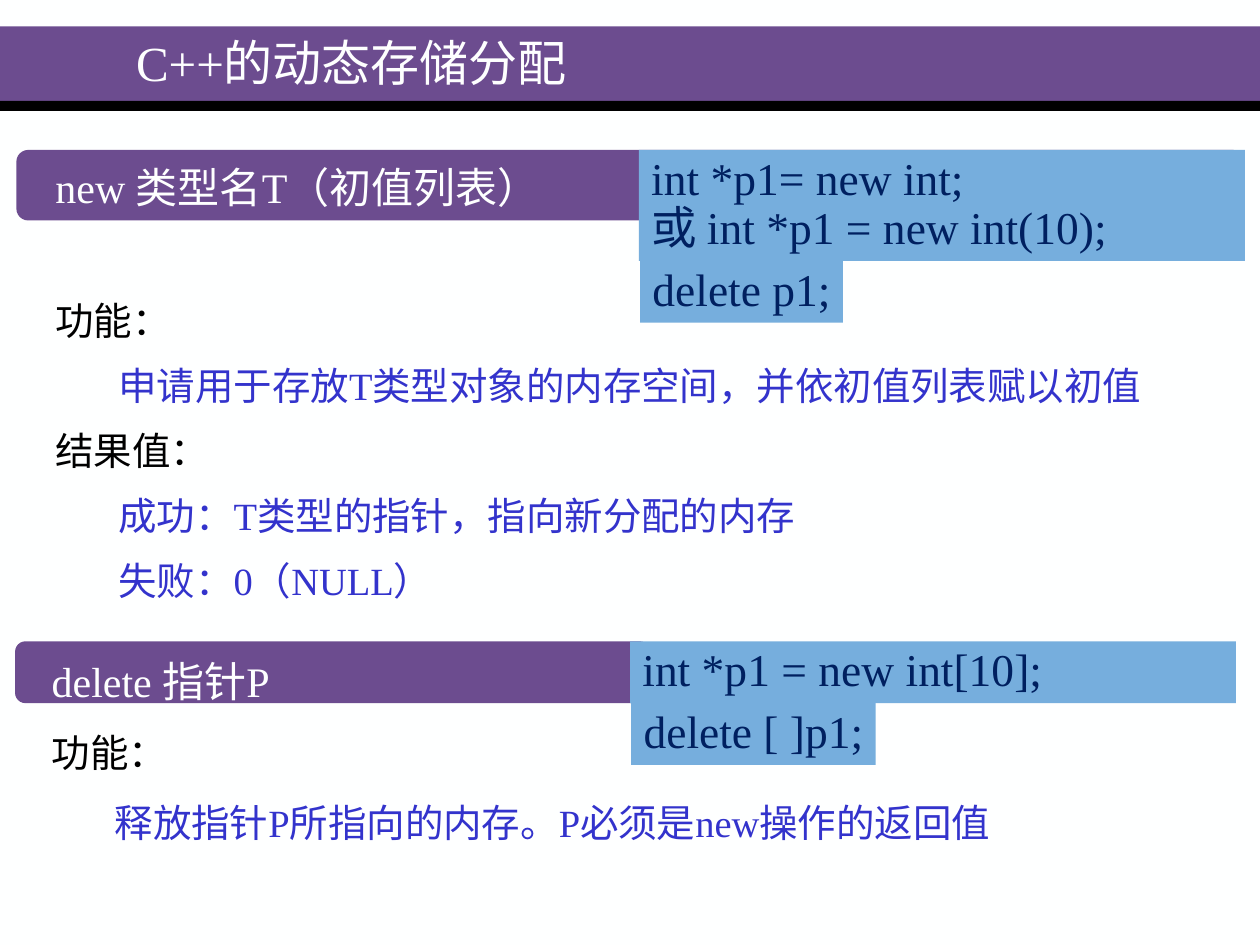
from pptx import Presentation
from pptx.dml.color import RGBColor
from pptx.enum.shapes import MSO_SHAPE
from pptx.enum.text import MSO_ANCHOR, MSO_AUTO_SIZE, PP_ALIGN
from pptx.oxml.xmlchemy import OxmlElement
from pptx.util import Inches, Pt

COLORS = {
    "background": "FEFFFF",
    "purple": "6C4C8F",
    "black": "000000",
    "code_fill": "76AEDD",
    "code_text": "002060",
    "detail": "3333CC",
}
FONT = "Times New Roman"
SLIDE_WIDTH, SLIDE_HEIGHT = Inches(10), Inches(7.5)
COLUMN, ROW = SLIDE_WIDTH / 100, SLIDE_HEIGHT / 75
CODE_ROWS = 4.9


def color(name):
    return RGBColor.from_string(COLORS[name])


def cells(left, top, width, height):
    return [round(length) for length in
            (left * COLUMN, top * ROW, width * COLUMN, height * ROW)]


def add_bar(slide, area, fill, kind=MSO_SHAPE.RECTANGLE):
    shape = slide.shapes.add_shape(kind, *cells(*area))
    shape.shadow.inherit = False
    shape.fill.solid()
    shape.fill.fore_color.rgb = color(fill)
    shape.line.fill.background()
    return shape


def write(paragraph, text, size=22, ink="black", spacing=1.0, before=0,
          level=0, margin=0, indent=0):
    paragraph.text = text
    paragraph.level = level
    paragraph.alignment = PP_ALIGN.LEFT
    paragraph.line_spacing = spacing
    paragraph.space_before = Pt(before)
    paragraph.space_after = Pt(0)
    properties = paragraph._p.get_or_add_pPr()
    properties.set("marL", str(Inches(margin)))
    properties.set("indent", str(Inches(indent)))
    properties.append(OxmlElement("a:buNone"))
    for run in paragraph.runs:
        run.font.name = FONT
        run.font.size = Pt(size)
        run.font.bold = False
        run.font.color.rgb = color(ink)


def place(placeholder, area, anchor):
    placeholder.left, placeholder.top, placeholder.width, placeholder.height = cells(*area)
    frame = placeholder.text_frame
    frame.word_wrap = True
    frame.auto_size = MSO_AUTO_SIZE.NONE
    frame.vertical_anchor = anchor
    placeholder.element.getparent().append(placeholder.element)
    return frame


def fill_title(placeholder, area, text):
    frame = place(placeholder, area, MSO_ANCHOR.MIDDLE)
    write(frame.paragraphs[0], text, size=28, ink="background")


def fill_body(placeholder, area, heading, items, spacing, gap=5.5):
    frame = place(placeholder, area, MSO_ANCHOR.TOP)
    label = {"margin": 0.38, "indent": -0.38, "spacing": spacing}
    detail = {"margin": 0.81, "indent": -0.31, "spacing": spacing,
              "level": 1, "ink": "detail"}
    write(frame.paragraphs[0], heading, size=24, ink="background", **label)
    for index, (text, is_detail) in enumerate(items):
        write(frame.add_paragraph(), text, before=5.5 if index else gap,
              **(detail if is_detail else label))


def add_code(slide, area, text, wrap=True):
    frame = add_bar(slide, area, "code_fill").text_frame
    frame.word_wrap = wrap
    frame.vertical_anchor = MSO_ANCHOR.TOP
    write(frame.paragraphs[0], text, size=26, ink="code_text", spacing=0.9)


def main():
    presentation = Presentation()
    presentation.slide_width, presentation.slide_height = SLIDE_WIDTH, SLIDE_HEIGHT
    slide = presentation.slides.add_slide(presentation.slide_layouts[3])
    slide.background.fill.solid()
    slide.background.fill.fore_color.rgb = color("background")
    title, new_body, delete_body = slide.placeholders

    add_bar(slide, (0, 2.1, 100, 5.9), "purple")
    add_bar(slide, (0, 8, 100, 0.8), "black")
    add_bar(slide, (1.2, 50.9, 50.4, CODE_ROWS), "purple", MSO_SHAPE.ROUNDED_RECTANGLE)
    add_bar(slide, (1.3, 11.9, 97.5, 5.6), "purple", MSO_SHAPE.ROUNDED_RECTANGLE)

    fill_title(title, (9.8, 0.3, 44.5, 9.3), "C++的动态存储分配")
    fill_body(new_body, (3.4, 11.5, 94.4, 38.9), "new 类型名T（初值列表）", [
        ("功能：", False),
        ("申请用于存放T类型对象的内存空间，并依初值列表赋以初值", True),
        ("结果值：", False),
        ("成功：T类型的指针，指向新分配的内存", True),
        ("失败：0（NULL）", True),
    ], spacing=1.2, gap=43.5)
    fill_body(delete_body, (3.1, 50.3, 94.1, 19.6), "delete 指针P", [
        ("功能：", False),
        ("释放指针P所指向的内存。P必须是new操作的返回值", True),
    ], spacing=1.3)

    add_code(slide, (50.7, 11.9, 48.1, 8.8),
             "int *p1= new int;\v或 int *p1 = new int(10);")
    add_code(slide, (50.8, 20.7, 16.1, CODE_ROWS), "delete p1;", wrap=False)
    add_code(slide, (50, 50.9, 48.1, CODE_ROWS), "int *p1 = new int[10];")
    add_code(slide, (50.1, 55.8, 19.4, CODE_ROWS), "delete [ ]p1;", wrap=False)
    presentation.save("out.pptx")


if __name__ == "__main__":
    main()
